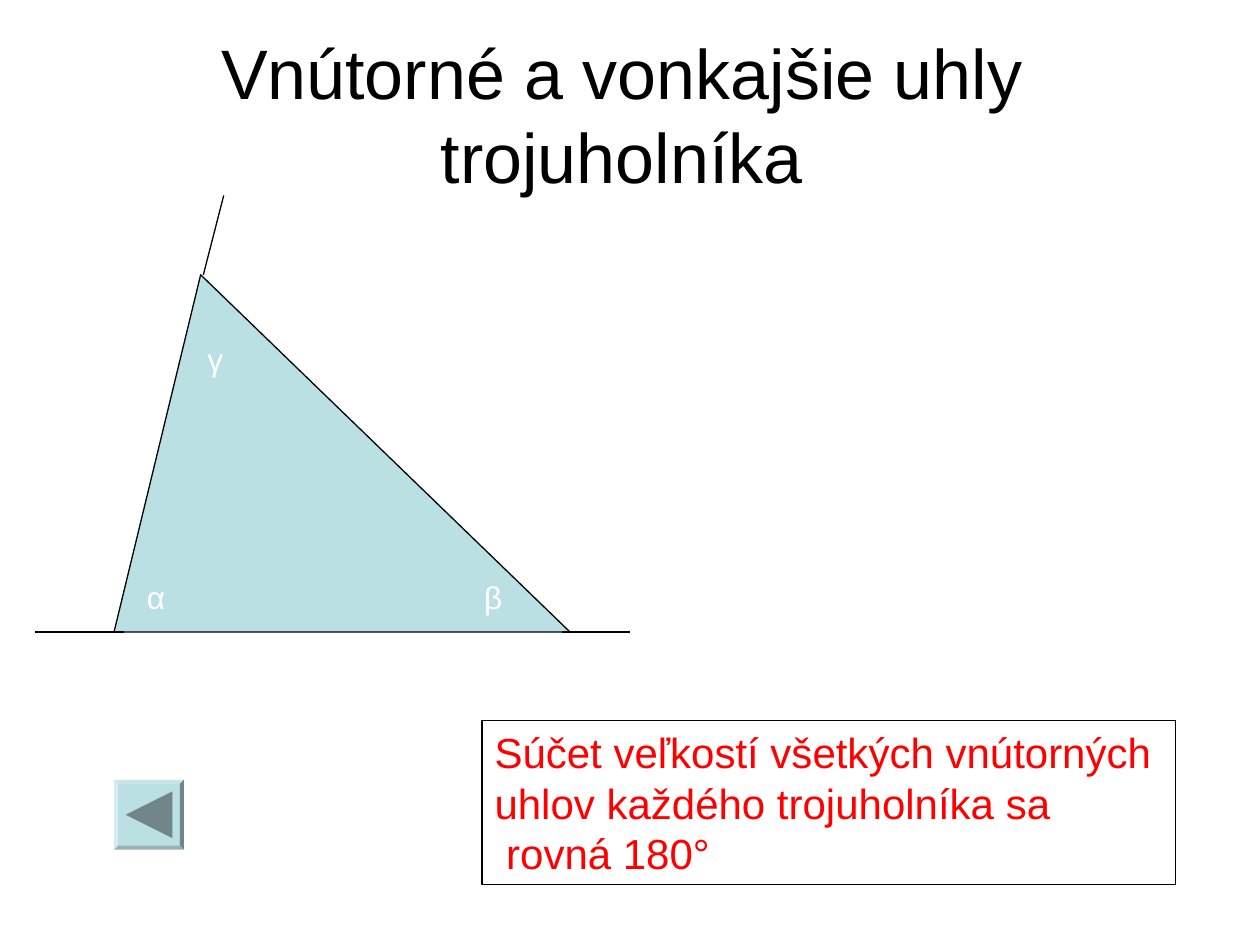
from pptx import Presentation
from pptx.dml.color import RGBColor
from pptx.enum.shapes import MSO_CONNECTOR, MSO_SHAPE as Shape
from pptx.enum.text import MSO_ANCHOR as Anchor, MSO_AUTO_SIZE as AutoSize, PP_ALIGN as Align
from pptx.oxml.ns import qn
from pptx.util import Cm, Pt
from lxml import etree

BLACK, WHITE, RED = "000000", "FFFFFF", "FF0000"
PALE_TEAL, DARK_TEAL = "BBE0E3", "708688"


def color(value):
    return RGBColor.from_string(value)


def format_text(text_frame, size, font_color, align=Align.LEFT):
    for paragraph in text_frame.paragraphs:
        paragraph.alignment = align
        for run in paragraph.runs:
            run.font.name = "Arial"
            run.font.size = Pt(size)
            run.font.color.rgb = color(font_color)


def style_shape(shape, fill=None, line=None):
    shape.shadow.inherit = False
    if fill:
        shape.fill.solid()
        shape.fill.fore_color.rgb = color(fill)
    else:
        shape.fill.background()
    if line:
        shape.line.color.rgb = color(line)
        shape.line.width = Pt(0.75)
    else:
        shape.line.fill.background()


def add_line(slide, x1, y1, x2, y2):
    line = slide.shapes.add_connector(MSO_CONNECTOR.STRAIGHT, Cm(x1), Cm(y1), Cm(x2), Cm(y2))
    line.line.color.rgb = color(BLACK)
    line.line.width = Pt(0.75)
    etree.SubElement(line._element.spPr, qn("a:effectLst"))


def add_title(slide, left, top, width, height):
    title = slide.shapes.title
    title.left, title.top, title.width, title.height = map(Cm, (left, top, width, height))
    text_frame = title.text_frame
    text_frame.text = "Vnútorné a vonkajšie uhly trojuholníka"
    text_frame.word_wrap = True
    text_frame.auto_size = AutoSize.NONE
    text_frame.vertical_anchor = Anchor.MIDDLE
    format_text(text_frame, 40, BLACK, Align.CENTER)


def add_triangle(slide, left, top, width, height):
    triangle = slide.shapes.add_shape(
        Shape.ISOSCELES_TRIANGLE, Cm(left), Cm(top), Cm(width), Cm(height))
    triangle.adjustments[0] = 0.19
    style_shape(triangle, PALE_TEAL, BLACK)

    # Interior angles
    for letter, x, y, label_width in (
            ("α", 0.41, 5.99, 1), ("β", 7.21, 5.99, 0.87), ("γ", 1.63, 1.19, 0.82)):
        label = slide.shapes.add_textbox(Cm(left + x), Cm(top + y), Cm(label_width), Cm(1.02))
        label.text_frame.text = letter
        format_text(label.text_frame, 18, WHITE)

    # Extended sides that form the exterior angles
    for x1, y1, x2, y2 in (
            (0.2, height, -1.6, height),
            (width - 0.17, height, width + 1.22, height),
            (1.8, 0, 2.21, -1.6)):
        add_line(slide, left + x1, top + y1, left + x2, top + y2)


def add_statement(slide, left, top, width, height):
    box = slide.shapes.add_shape(Shape.RECTANGLE, Cm(left), Cm(top), Cm(width), Cm(height))
    style_shape(box, line=BLACK)
    text_frame = box.text_frame
    text_frame.text = ("Súčet veľkostí všetkých vnútorných\n"
                       "uhlov každého trojuholníka sa\n"
                       " rovná 180°")
    text_frame.word_wrap = False
    text_frame.vertical_anchor = Anchor.TOP
    format_text(text_frame, 24, RED)


def add_back_button(slide, left, top, size):
    button = slide.shapes.add_shape(Shape.BEVEL, Cm(left), Cm(top), Cm(size), Cm(size))
    button.adjustments[0] = 0.06
    style_shape(button, PALE_TEAL)

    # Arrow pointing left, centred on the button
    middle, reach = size / 2, size / 3
    builder = slide.shapes.build_freeform(Cm(left + middle - reach), Cm(top + middle))
    builder.add_line_segments([
        (Cm(left + middle + reach), Cm(top + middle - reach)),
        (Cm(left + middle + reach), Cm(top + middle + reach))])
    style_shape(builder.convert_to_shape(), DARK_TEAL)


def main():
    presentation = Presentation()
    presentation.slide_width, presentation.slide_height = Cm(25.4), Cm(19.05)
    slide = presentation.slides.add_slide(presentation.slide_layouts[5])
    add_title(slide, 1.1, 0.7, 22.86, 3.18)
    add_triangle(slide, 2.3, 5.54, 9.19, 7.2)
    add_statement(slide, 9.72, 14.53, 13.98, 3.3)
    add_back_button(slide, 2.3, 15.72, 1.41)
    presentation.save("out.pptx")


if __name__ == "__main__":
    main()
